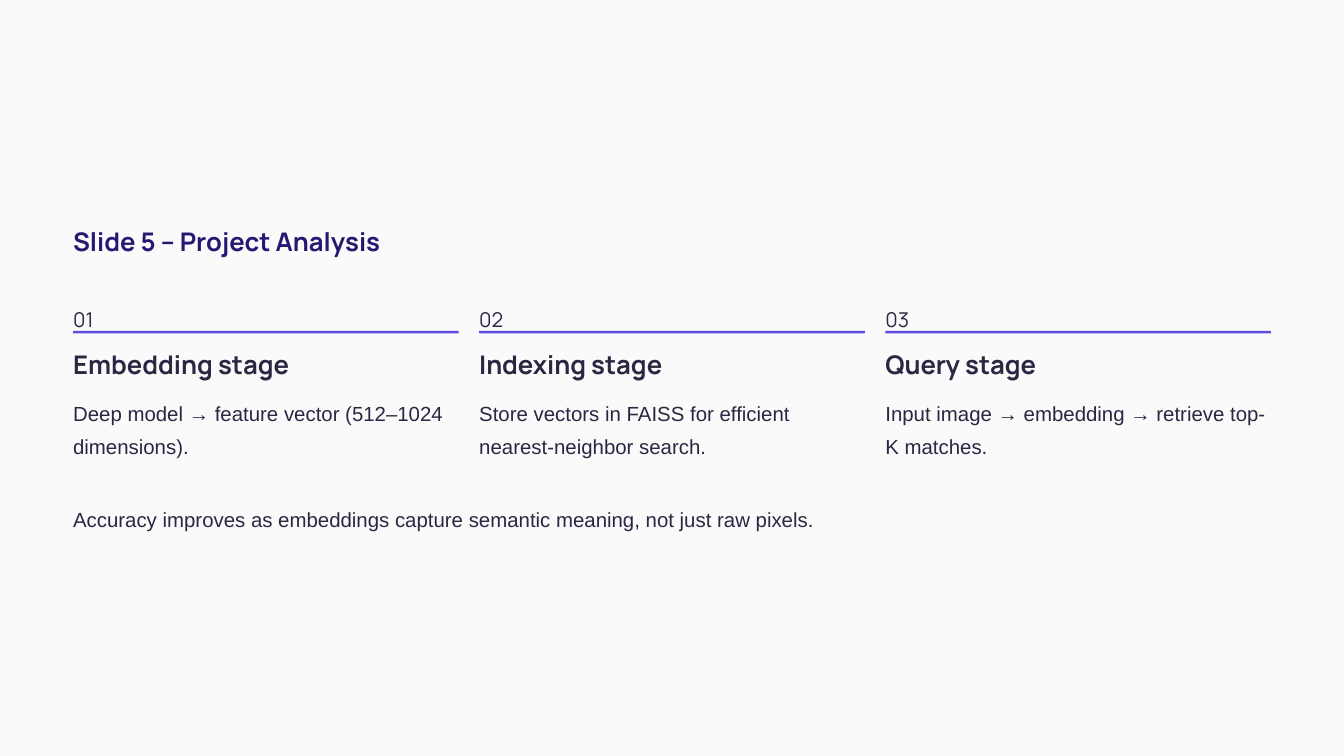
from dataclasses import dataclass

from lxml import etree
from pptx import Presentation
from pptx import util as u
from pptx.dml.color import RGBColor
from pptx.enum import shapes, text
from pptx.oxml.ns import qn


@dataclass(frozen=True)
class Style:
    font: str
    size: float
    line_spacing: float
    color: str
    bold: bool = False


class Theme:
    background = "FFFFFF"
    backdrop = "FAFAFA"
    rule = "5E4CE6"
    title = Style("Manrope", 22, 27.5, "231971", True)
    heading = Style("Manrope", 22, 27.5, "2A2742", True)
    number = Style("Manrope", 17.5, 28.5, "2A2742")
    body = Style("Arial", 17.5, 28.5, "2A2742")


class SlideBuilder:
    def __init__(self, slide, theme):
        self.slide = slide
        self.theme = theme
        fill = slide.background.fill
        fill.solid()
        fill.fore_color.rgb = RGBColor.from_string(theme.background)

    def add_text(self, content, left, top, width, height, style, wrap=False):
        box = self.slide.shapes.add_textbox(
            u.Inches(left), u.Inches(top), u.Inches(width), u.Inches(height))
        frame = box.text_frame
        frame.margin_left = frame.margin_right = 0
        frame.margin_top = frame.margin_bottom = 0
        frame.word_wrap = wrap
        frame.text = content
        paragraph = frame.paragraphs[0]
        paragraph.alignment = text.PP_ALIGN.LEFT
        paragraph.line_spacing = u.Pt(style.line_spacing)
        font = paragraph.runs[0].font
        font.name = style.font
        font.size = u.Pt(style.size)
        font.bold = style.bold
        font.color.rgb = RGBColor.from_string(style.color)

    def add_rectangle(self, left, top, width, height, color, opacity=100):
        shape = self.slide.shapes.add_shape(
            shapes.MSO_SHAPE.RECTANGLE,
            u.Inches(left), u.Inches(top), u.Inches(width), u.Inches(height))
        shape.shadow.inherit = False
        shape.fill.solid()
        shape.fill.fore_color.rgb = RGBColor.from_string(color)
        shape.line.fill.background()
        if opacity < 100:
            color_element = shape.element.spPr.find(qn("a:solidFill"))[0]
            etree.SubElement(color_element, qn("a:alpha"), val=str(opacity * 1000))

    def add_stage(self, left, width, number, heading, description):
        theme = self.theme
        self.add_text(number, left, 3.55, 0.4, 0.31, theme.number)
        self.add_rectangle(left, 3.94, width, 0.03, theme.rule)
        self.add_text(heading, left, 4.14, 3.1, 0.39, theme.heading)
        self.add_text(description, left, 4.67, width, 0.79, theme.body, wrap=True)


STAGES = [
    ("Embedding stage", "Deep model → feature vector (512–1024 dimensions)."),
    ("Indexing stage", "Store vectors in FAISS for efficient nearest-neighbor search."),
    ("Query stage", "Input image → embedding → retrieve top-K matches."),
]
SLIDE_WIDTH, SLIDE_HEIGHT = 16, 9
MARGIN = 0.87
CONTENT_WIDTH = 14.26
STAGE_WIDTH = 4.59


def main():
    presentation = Presentation()
    presentation.slide_width = u.Inches(SLIDE_WIDTH)
    presentation.slide_height = u.Inches(SLIDE_HEIGHT)
    slide = presentation.slides.add_slide(presentation.slide_layouts[6])
    builder = SlideBuilder(slide, Theme)

    # Backdrop and title
    builder.add_rectangle(0, 0, SLIDE_WIDTH, SLIDE_HEIGHT, Theme.backdrop, opacity=95)
    builder.add_text("Slide 5 – Project Analysis", MARGIN, 2.67, 4, 0.39, Theme.title)

    # Three evenly spaced stages
    pitch = (CONTENT_WIDTH - STAGE_WIDTH) / (len(STAGES) - 1)
    for index, (heading, description) in enumerate(STAGES):
        builder.add_stage(MARGIN + index * pitch, STAGE_WIDTH,
                          f"{index + 1:02d}", heading, description)

    # Closing remark
    builder.add_text(
        "Accuracy improves as embeddings capture semantic meaning, not just raw pixels.",
        MARGIN, 5.93, CONTENT_WIDTH, 0.4, Theme.body)

    presentation.save("out.pptx")


if __name__ == "__main__":
    main()
